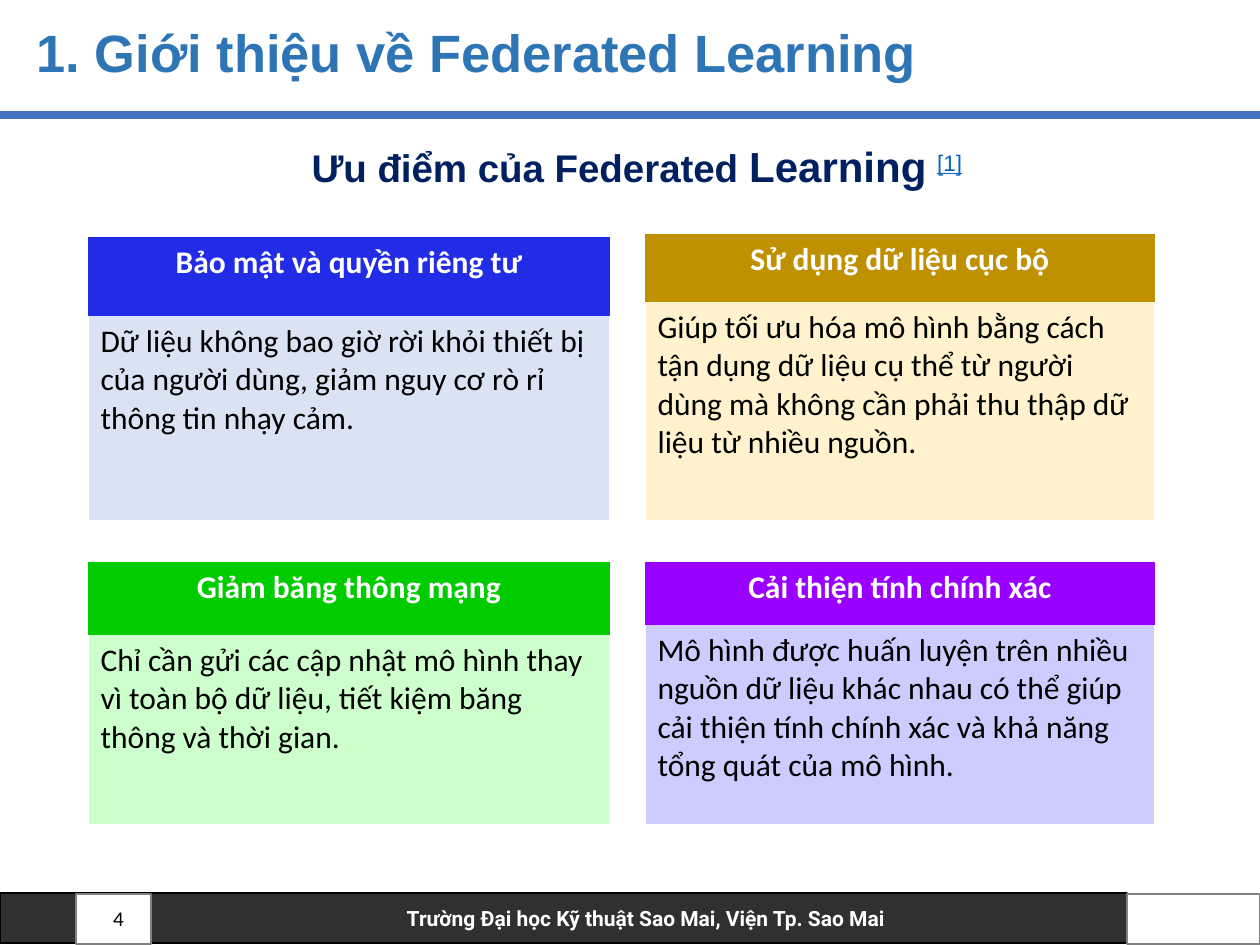
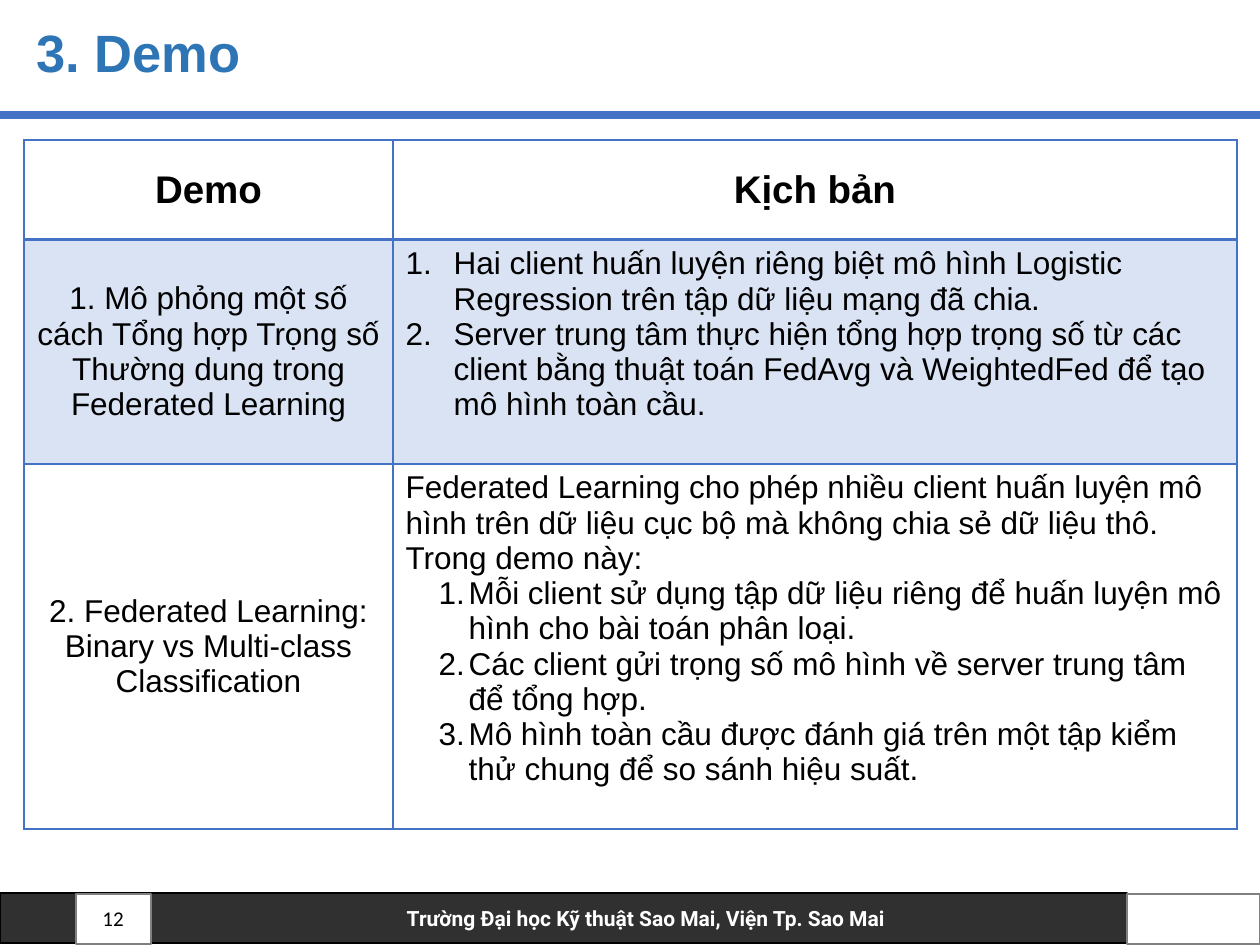
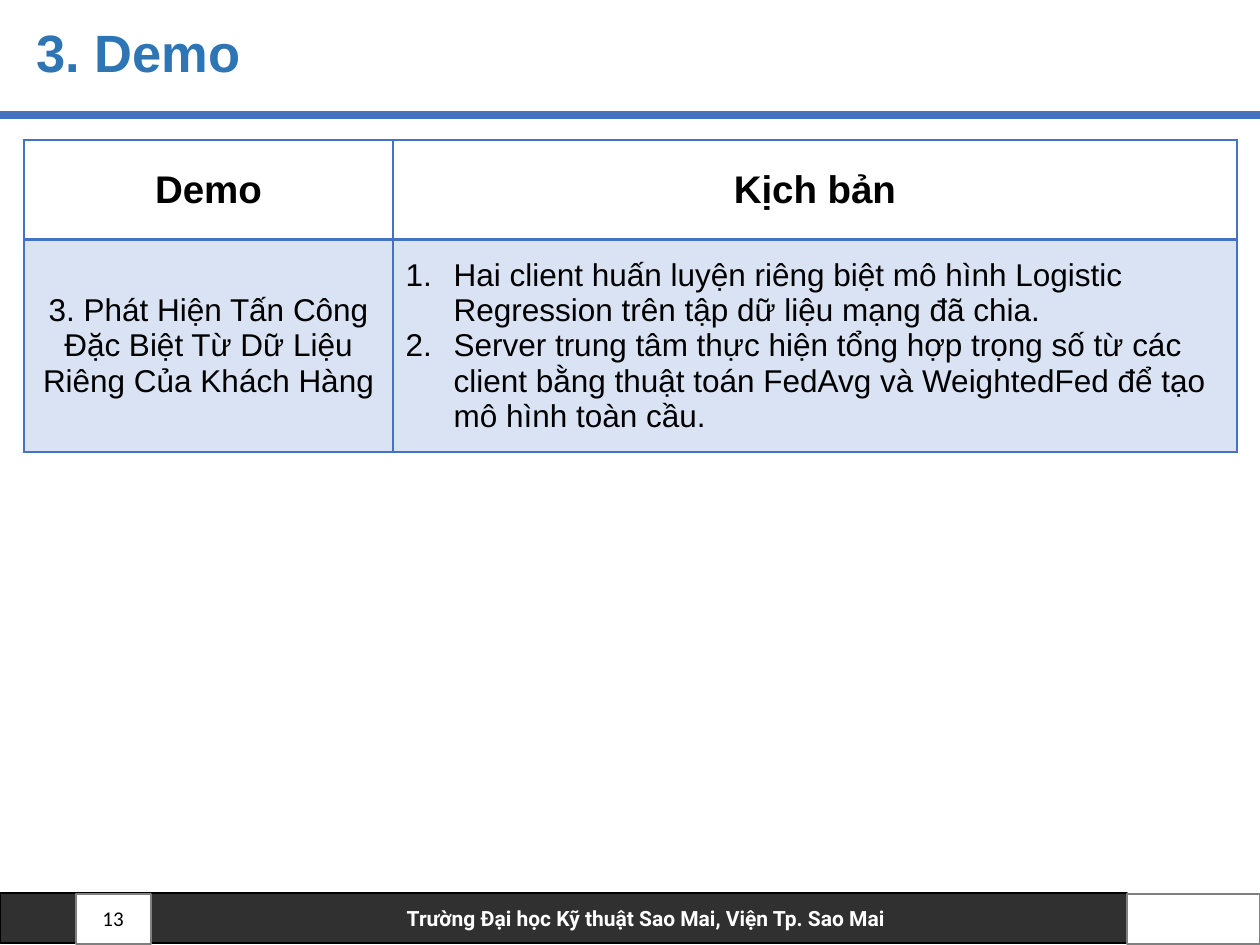
"""Build three slides on Federated Learning: its advantages and the demo scenarios."""
from lxml import etree
from pptx import Presentation
from pptx import util as u
from pptx.dml.color import RGBColor
from pptx.enum import shapes, text
from pptx.oxml.ns import qn

PX = 914400 // 126
COLORS = {
    "title": "2E75B6", "subtitle": "002060", "link": "0563C1", "accent": "4472C4",
    "band": "DAE3F3", "black": "000000", "white": "FFFFFF", "gray": "808080",
    "blue": "222BE6", "blue_light": "DAE3F3", "gold": "BF9000", "gold_light": "FFF2CC",
    "green": "00CC00", "green_light": "CCFFCC", "purple": "9900FF", "purple_light": "CCCCFF",
}
COLORS = {name: RGBColor.from_string(value) for name, value in COLORS.items()}
NO_STYLE = "{2D5ABB26-0587-4C30-8999-92F81FD0307C}"
FOOTER = "Trường Đại học Kỹ thuật Sao Mai, Viện Tp. Sao Mai"
LEFT, CENTER, RIGHT = text.PP_ALIGN.LEFT, text.PP_ALIGN.CENTER, text.PP_ALIGN.RIGHT
TOP, MIDDLE = text.MSO_ANCHOR.TOP, text.MSO_ANCHOR.MIDDLE


def style(paragraph, font, size, color, bold=False, align=LEFT):
    paragraph.alignment = align
    for run in paragraph.runs:
        run.font.name = font
        run.font.size = u.Pt(size)
        run.font.bold = bold
        run.font.color.rgb = COLORS[color]


def paint_cell(cell, fill, line, widths):
    properties = cell._tc.get_or_add_tcPr()
    for side, width in widths.items():
        border = etree.SubElement(properties, qn(f"a:ln{side}"), w=str(u.Pt(width)))
        solid = etree.SubElement(border, qn("a:solidFill"))
        etree.SubElement(solid, qn("a:srgbClr"), val=str(COLORS[line]))
    cell.fill.solid()
    cell.fill.fore_color.rgb = COLORS[fill]


presentation = Presentation()
presentation.slide_width, presentation.slide_height = 1260 * PX, 945 * PX

pages = [
    (1, "1. Giới thiệu về Federated Learning", "4"),
    (5, "3. Demo", "12"),
    (5, "3. Demo", "13"),
]
for layout, heading, number in pages:
    slide = presentation.slides.add_slide(presentation.slide_layouts[layout])
    title = slide.shapes.title
    title.left, title.top, title.width, title.height = 24 * PX, 20 * PX, 1131 * PX, 71 * PX
    title.text_frame.text = heading
    title.text_frame.vertical_anchor = MIDDLE
    title.text_frame.auto_size = text.MSO_AUTO_SIZE.NONE
    title.text_frame.paragraphs[0].line_spacing = 0.9
    style(title.text_frame.paragraphs[0], "Arial", 30, "title", True)

    boxes = []
    for left, top, width, fill, line in [
        (0, 893, 1127, "black", "black"),
        (76, 894, 75, "white", "gray"),
        (1127, 894, 133, "white", "gray"),
    ]:
        box = slide.shapes.add_shape(
            shapes.MSO_SHAPE.RECTANGLE, left * PX, top * PX, width * PX, 50 * PX)
        box.shadow.inherit = False
        box.fill.solid()
        box.fill.fore_color.rgb = COLORS[fill]
        box.line.color.rgb = COLORS[line]
        box.line.width = u.Pt(1)
        boxes.append(box)

    band = boxes[0]
    fill_color = band._element.spPr.find(qn("a:solidFill"))[0]
    etree.SubElement(fill_color, qn("a:alpha"), val="81000")
    frame = band.text_frame
    frame.text = FOOTER
    frame.vertical_anchor = MIDDLE
    frame.margin_left = frame.margin_right = 19 * PX
    frame.margin_top = frame.margin_bottom = 9 * PX
    frame.paragraphs[0]._p.get_or_add_pPr().set("marL", str(165 * PX))
    style(frame.paragraphs[0], "Roboto", 12, "white", True, CENTER)

    rule = slide.shapes.add_connector(
        shapes.MSO_CONNECTOR.STRAIGHT, 0, 115 * PX, 1260 * PX, 115 * PX)
    rule.line.color.rgb = COLORS["accent"]
    rule.line.width = u.Pt(4.5)
    etree.SubElement(rule._element.spPr, qn("a:effectLst"))

    page_number = slide.shapes.add_textbox(81 * PX, 893 * PX, 55 * PX, 50 * PX)
    page_number.text_frame.word_wrap = True
    page_number.text_frame.text = number
    page_number.text_frame.vertical_anchor = MIDDLE
    style(page_number.text_frame.paragraphs[0], "Calibri", 12, "black", align=RIGHT)

advantages_slide, *demo_slides = presentation.slides

subtitle = advantages_slide.placeholders[1]
subtitle.left, subtitle.top, subtitle.width, subtitle.height = 299 * PX, 127 * PX, 714 * PX, 71 * PX
subtitle.text_frame.auto_size = text.MSO_AUTO_SIZE.NONE
paragraph = subtitle.text_frame.paragraphs[0]
paragraph.line_spacing = 1.15
paragraph.space_before = paragraph.space_after = u.Pt(10)
properties = paragraph._p.get_or_add_pPr()
properties.set("marL", "0")
properties.set("indent", "0")
etree.SubElement(properties, qn("a:buNone"))
for words in ["Ưu điểm của Federated ", "Learning", " ", "[1]"]:
    paragraph.add_run().text = words
style(paragraph, "Arial", 22, "subtitle", True)
paragraph.runs[1].font.size = u.Pt(24)
citation = paragraph.runs[3]
citation.font.bold = False
citation.font.underline = True
citation.font.color.rgb = COLORS["link"]
citation._r.get_or_add_rPr().set("baseline", "30000")

cards = [
    (88, 237, 522, 79, 205, "blue", "Bảo mật và quyền riêng tư",
     "Dữ liệu không bao giờ rời khỏi thiết bị của người dùng, "
     "giảm nguy cơ rò rỉ thông tin nhạy cảm."),
    (645, 234, 510, 68, 219, "gold", "Sử dụng dữ liệu cục bộ",
     "Giúp tối ưu hóa mô hình bằng cách tận dụng dữ liệu cụ thể từ người dùng "
     "mà không cần phải thu thập dữ liệu từ nhiều nguồn."),
    (88, 562, 522, 73, 190, "green", "Giảm băng thông mạng",
     "Chỉ cần gửi các cập nhật mô hình thay vì toàn bộ dữ liệu, "
     "tiết kiệm băng thông và thời gian."),
    (645, 562, 510, 63, 200, "purple", "Cải thiện tính chính xác",
     "Mô hình được huấn luyện trên nhiều nguồn dữ liệu khác nhau có thể giúp "
     "cải thiện tính chính xác và khả năng tổng quát của mô hình."),
]
for left, top, width, head_height, body_height, color, heading, body in cards:
    table = advantages_slide.shapes.add_table(
        2, 1, left * PX, top * PX, width * PX, (head_height + body_height) * PX).table
    table._tbl.tblPr.find(qn("a:tableStyleId")).text = NO_STYLE
    table.rows[0].height, table.rows[1].height = head_height * PX, body_height * PX
    head_cell, body_cell = table.cell(0, 0), table.cell(1, 0)
    head_cell.text_frame.text = heading
    body_cell.text_frame.text = body
    style(head_cell.text_frame.paragraphs[0], "Calibri", 18, "white", True, CENTER)
    style(body_cell.text_frame.paragraphs[0], "Calibri", 18, "black")
    paint_cell(head_cell, color, "white", {})
    paint_cell(body_cell, f"{color}_light", "white", {"L": 1, "R": 1, "B": 1})

training_steps = [
    "Hai client huấn luyện riêng biệt mô hình Logistic Regression trên tập dữ liệu mạng đã chia.",
    "Server trung tâm thực hiện tổng hợp trọng số từ các client bằng thuật toán FedAvg "
    "và WeightedFed để tạo mô hình toàn cầu.",
]
comparison_intro = [
    "Federated Learning cho phép nhiều client huấn luyện mô hình trên dữ liệu cục bộ "
    "mà không chia sẻ dữ liệu thô. Trong demo này:",
]
comparison_steps = [
    "Mỗi client sử dụng tập dữ liệu riêng để huấn luyện mô hình cho bài toán phân loại.",
    "Các client gửi trọng số mô hình về server trung tâm để tổng hợp.",
    "Mô hình toàn cầu được đánh giá trên một tập kiểm thử chung để so sánh hiệu suất.",
]
demo_tables = [
    [
        (224, "1. Mô phỏng một số cách Tổng hợp Trọng số Thường dung trong Federated Learning",
         [], training_steps, 48, 48, TOP),
        (365, "2. Federated Learning: Binary vs Multi-class Classification",
         comparison_intro, comparison_steps, 63, 30, TOP),
    ],
    [
        (212, "3. Phát Hiện Tấn Công Đặc Biệt Từ Dữ Liệu Riêng Của Khách Hàng",
         [], training_steps, 48, 48, MIDDLE),
    ],
]
for slide, demos in zip(demo_slides, demo_tables):
    heights = [100] + [demo[0] for demo in demos]
    table = slide.shapes.add_table(
        len(heights), 2, 24 * PX, 140 * PX, 1213 * PX, sum(heights) * PX).table
    table._tbl.tblPr.find(qn("a:tableStyleId")).text = NO_STYLE
    table.columns[0].width, table.columns[1].width = 369 * PX, 844 * PX
    for row, height in zip(table.rows, heights):
        row.height = height * PX

    for column, heading in enumerate(["Demo", "Kịch bản"]):
        cell = table.cell(0, column)
        cell.text_frame.text = heading
        cell.vertical_anchor = MIDDLE
        style(cell.text_frame.paragraphs[0], "Arial", 22, "black", True, CENTER)
        paint_cell(cell, "white", "accent", {"L": 1, "R": 1, "T": 1, "B": 2})

    for index, (height, name, intro, steps, margin, hanging, anchor) in enumerate(demos, 1):
        name_cell, script_cell = table.cell(index, 0), table.cell(index, 1)
        name_cell.text_frame.text = name
        name_cell.vertical_anchor = MIDDLE
        style(name_cell.text_frame.paragraphs[0], "Arial", 18, "black", align=CENTER)
        script_cell.text_frame.text = "\n".join(intro + steps)
        script_cell.vertical_anchor = anchor
        for position, paragraph in enumerate(script_cell.text_frame.paragraphs):
            style(paragraph, "Arial", 18, "black")
            if position >= len(intro):
                properties = paragraph._p.get_or_add_pPr()
                properties.set("marL", str(margin * PX))
                properties.set("indent", str(-hanging * PX))
                paragraph.level = 1 if intro else 0
                etree.SubElement(properties, qn("a:buAutoNum"), type="arabicPeriod")
        for cell in (name_cell, script_cell):
            paint_cell(cell, "band" if index == 1 else "white", "accent",
                       {"L": 1, "R": 1, "T": 2 if index == 1 else 1, "B": 1})

presentation.save("out.pptx")
